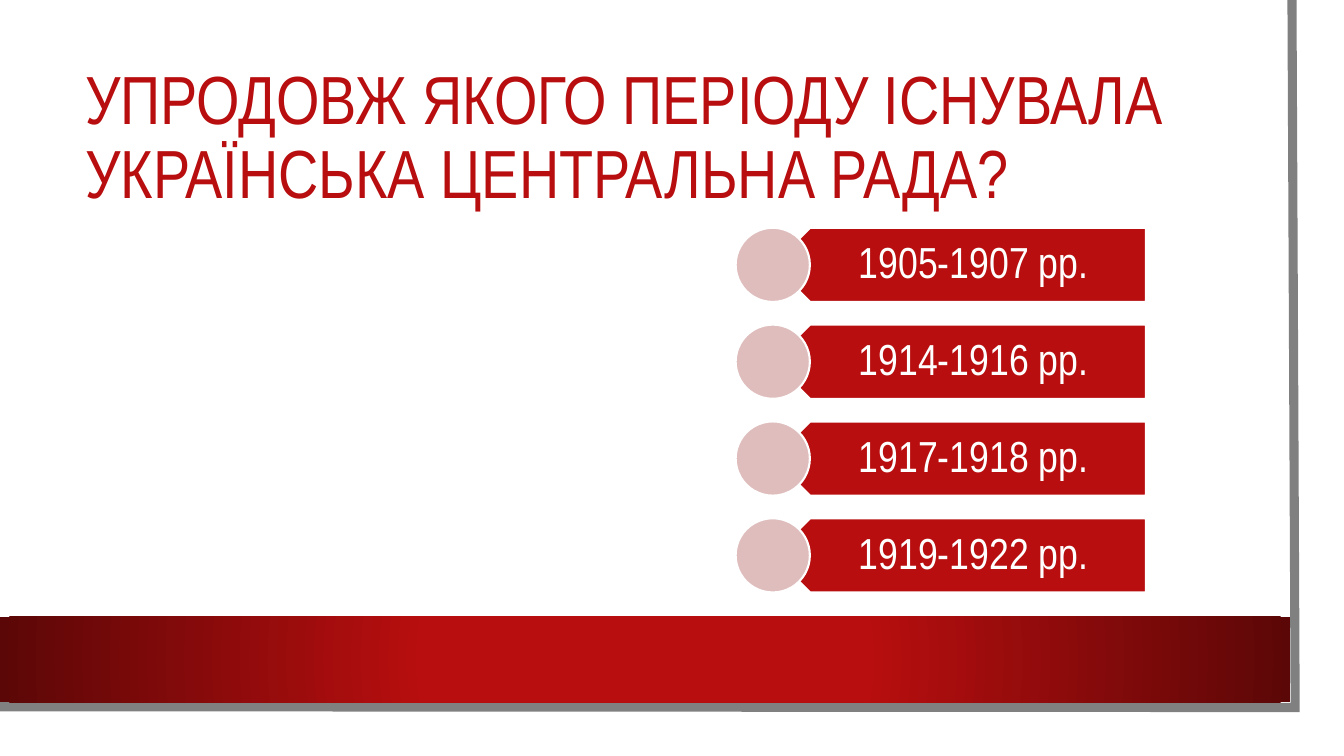
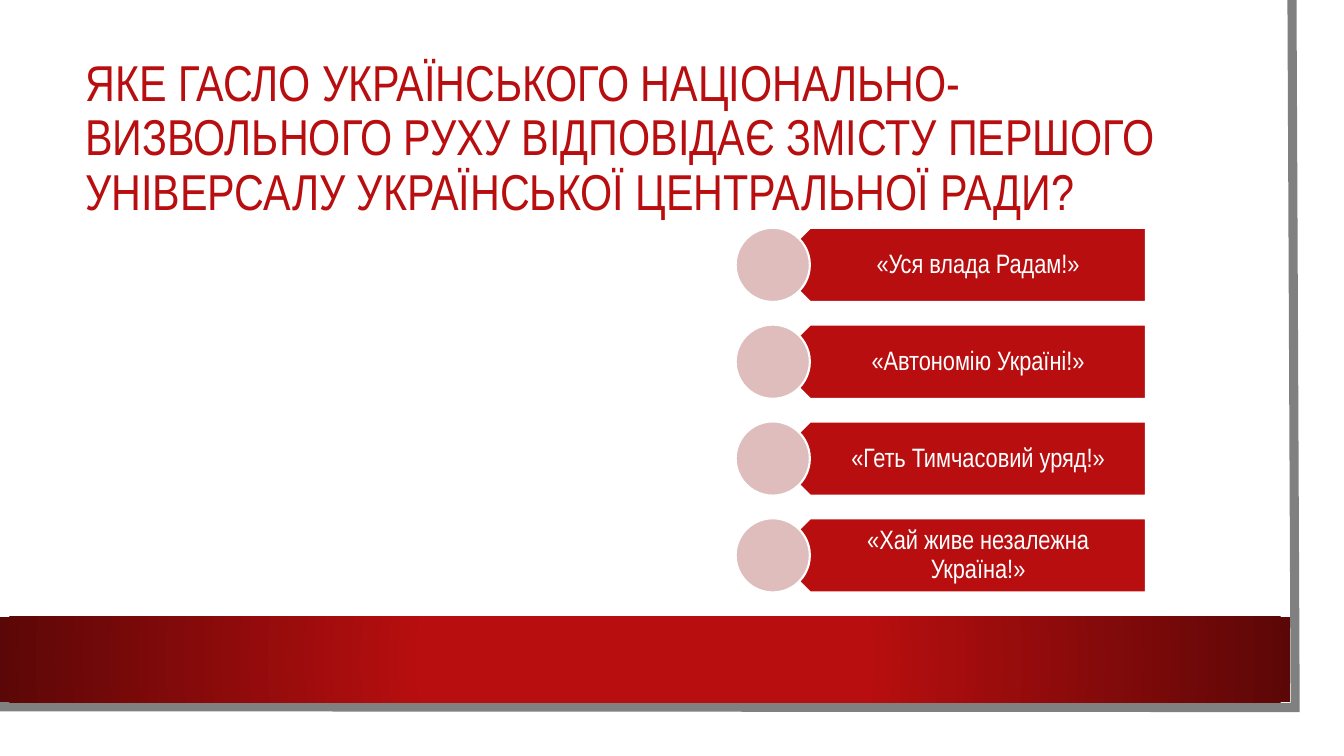
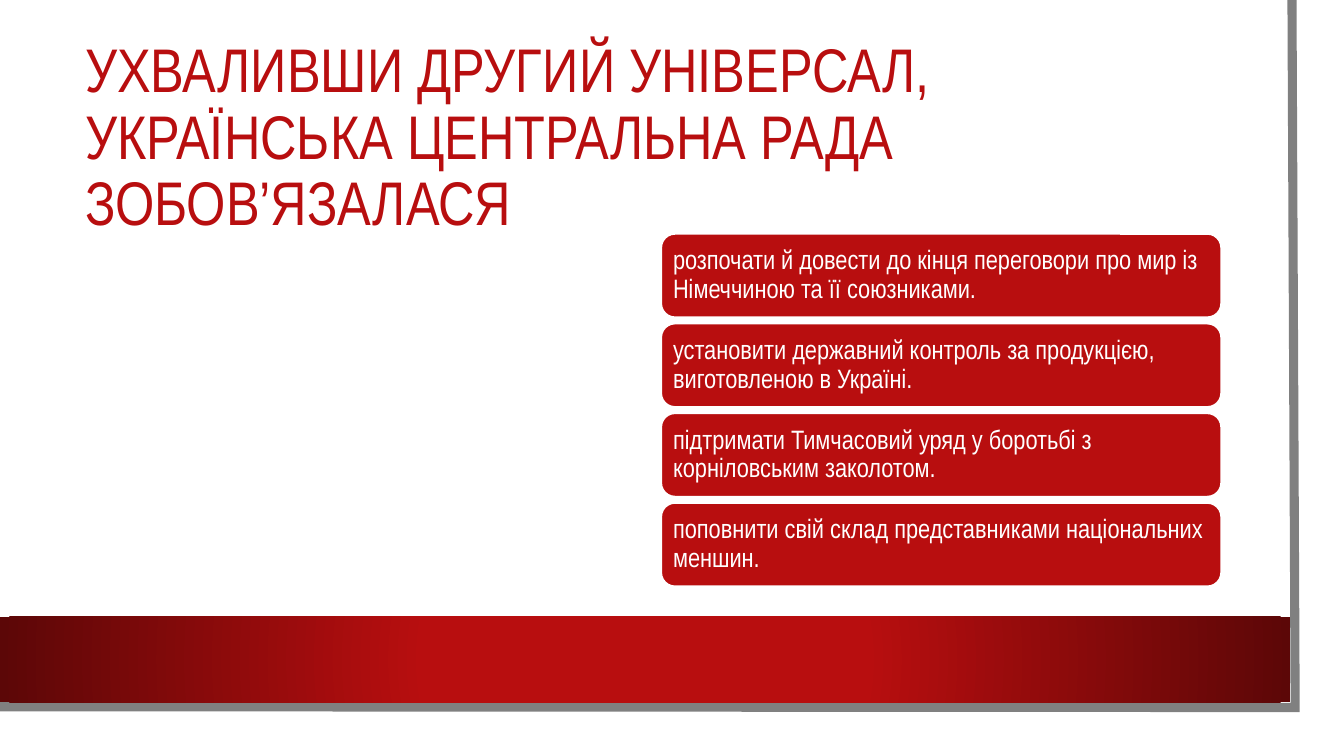
"""Build three quiz slides about the Ukrainian Central Rada."""
from dataclasses import dataclass

from lxml import etree
from pptx import Presentation, util as u
from pptx.dml.color import RGBColor
from pptx.enum import shapes, text
from pptx.oxml.ns import qn

RED = RGBColor(0xB8, 0x0E, 0x0F)
DARK_RED = RGBColor(0x5C, 0x07, 0x07)
PINK = RGBColor(0xDF, 0xBD, 0xBD)
GREY = RGBColor(0x80, 0x80, 0x80)
WHITE = RGBColor(0xFF, 0xFF, 0xFF)
FONT = "Arial Narrow"
KIND = shapes.MSO_SHAPE


@dataclass(frozen=True)
class Box:
    left: float
    top: float
    width: float
    height: float

    def down(self, distance: float) -> "Box":
        return Box(self.left, self.top + distance, self.width, self.height)

    def lengths(self) -> tuple:
        return tuple(u.Cm(v) for v in (self.left, self.top, self.width, self.height))


@dataclass(frozen=True)
class Question:
    title: str
    title_size: float
    answers: tuple[str, ...]
    size: float = 19
    insets: tuple[float, ...] = (0.2, 0.2, 0.2, 0.2)
    plates: bool = True


TITLE = Box(1.9, 1.9, 28.88, 3.23)
BAND = Box(0, 15.54, 32.51, 2.16)
PLATE = Box(19.48, 5.74, 9.4, 1.87)
PLATE_TEXT = Box(19.96, 5.74, 8.92, 1.87)
DISC = Box(18.54, 5.74, 1.87, 1.87)
PLATE_STEP = 2.44
CARD = Box(16.66, 5.89, 14.12, 2.11)
CARD_STEP = 2.26
FRAME = ((32.56, 0), (32.64, 17.83), (-0.08, 17.81))

QUESTIONS = (
    Question(
        "УПРОДОВЖ ЯКОГО ПЕРІОДУ ІСНУВАЛА УКРАЇНСЬКА ЦЕНТРАЛЬНА РАДА?", 48.6,
        ("1905-1907 рр.", "1914-1916 рр.", "1917-1918 рр.", "1919-1922 рр."),
        size=31, insets=(0.84, 0.33, 0.61, 0.33)),
    Question(
        "ЯКЕ ГАСЛО УКРАЇНСЬКОГО НАЦІОНАЛЬНО-ВИЗВОЛЬНОГО РУХУ ВІДПОВІДАЄ ЗМІСТУ "
        "ПЕРШОГО УНІВЕРСАЛУ УКРАЇНСЬКОЇ ЦЕНТРАЛЬНОЇ РАДИ?", 36,
        ("«Уся влада Радам!»", "«Автономію Україні!»", "«Геть Тимчасовий уряд!»",
         "«Хай живе незалежна Україна!»"),
        insets=(0.84, 0.2, 0.38, 0.2)),
    Question(
        "УХВАЛИВШИ ДРУГИЙ УНІВЕРСАЛ, УКРАЇНСЬКА ЦЕНТРАЛЬНА РАДА ЗОБОВ’ЯЗАЛАСЯ", 44,
        ("розпочати й довести до кінця переговори про мир із Німеччиною та її союзниками.",
         "установити державний контроль за продукцією, виготовленою в Україні.",
         "підтримати Тимчасовий уряд у боротьбі з корніловським заколотом.",
         "поповнити свій склад представниками національних меншин."),
        plates=False),
)


def write(sp, content: str, *, size: float, color: RGBColor = WHITE,
          align=text.PP_ALIGN.LEFT, insets=(0.25, 0.13, 0.25, 0.13)) -> None:
    tf = sp.text_frame
    tf.word_wrap = True
    tf.vertical_anchor = text.MSO_ANCHOR.MIDDLE
    tf.margin_left, tf.margin_top, tf.margin_right, tf.margin_bottom = map(u.Cm, insets)
    p = tf.paragraphs[0]
    p.alignment = align
    p.line_spacing = 0.9
    r = p.add_run()
    r.text = content
    r.font.name = FONT
    r.font.size = u.Pt(size)
    r.font.color.rgb = color


def add_box(s, kind, box: Box, fill: RGBColor):
    sp = s.shapes.add_shape(kind, *box.lengths())
    sp.shadow.inherit = False
    sp.fill.solid()
    sp.fill.fore_color.rgb = fill
    sp.line.color.rgb = WHITE
    sp.line.width = u.Pt(1.5)
    return sp


def add_frame(s) -> None:
    start, *rest = [(u.Cm(x), u.Cm(y)) for x, y in FRAME]
    builder = s.shapes.build_freeform(*start)
    builder.add_line_segments(rest, close=False)
    sp = builder.convert_to_shape()
    sp.shadow.inherit = False
    sp.fill.background()
    sp.line.color.rgb = GREY
    sp.line.width = u.Pt(6.5)
    ln = sp._element.spPr.find(qn("a:ln"))
    etree.SubElement(ln, qn("a:miter"), lim="800000")


def add_band(s) -> None:
    sp = add_box(s, KIND.RECTANGLE, BAND, RED)
    sp.line.fill.background()
    sp.fill.gradient()
    for stop, position, color in zip(sp.fill.gradient_stops, (0.34, 1), (RED, DARK_RED)):
        stop.position = position
        stop.color.rgb = color
    grad = sp._element.spPr.find(qn("a:gradFill"))
    grad.remove(grad.find(qn("a:lin")))
    circle = etree.SubElement(grad, qn("a:path"), path="circle")
    etree.SubElement(circle, qn("a:fillToRect"), l="50000", t="50000", r="50000", b="50000")


def add_plate(s, q: Question, i: int) -> None:
    drop = i * PLATE_STEP
    add_box(s, KIND.PENTAGON, PLATE.down(drop), RED).rotation = 180
    label = s.shapes.add_textbox(*PLATE_TEXT.down(drop).lengths())
    write(label, q.answers[i], size=q.size, align=text.PP_ALIGN.CENTER, insets=q.insets)
    add_box(s, KIND.OVAL, DISC.down(drop), PINK)


def add_card(s, q: Question, i: int) -> None:
    sp = add_box(s, KIND.ROUNDED_RECTANGLE, CARD.down(i * CARD_STEP), RED)
    write(sp, q.answers[i], size=q.size, insets=q.insets)


def add_question(prs, q: Question) -> None:
    s = prs.slides.add_slide(prs.slide_layouts[6])
    add_frame(s)
    add_band(s)
    write(s.shapes.add_textbox(*TITLE.lengths()), q.title, size=q.title_size, color=RED)
    add_answer = add_plate if q.plates else add_card
    for i in range(len(q.answers)):
        add_answer(s, q, i)


def main() -> None:
    prs = Presentation()
    prs.slide_width, prs.slide_height = u.Cm(33.87), u.Cm(19.05)
    for q in QUESTIONS:
        add_question(prs, q)
    prs.save("out.pptx")


if __name__ == "__main__":
    main()
